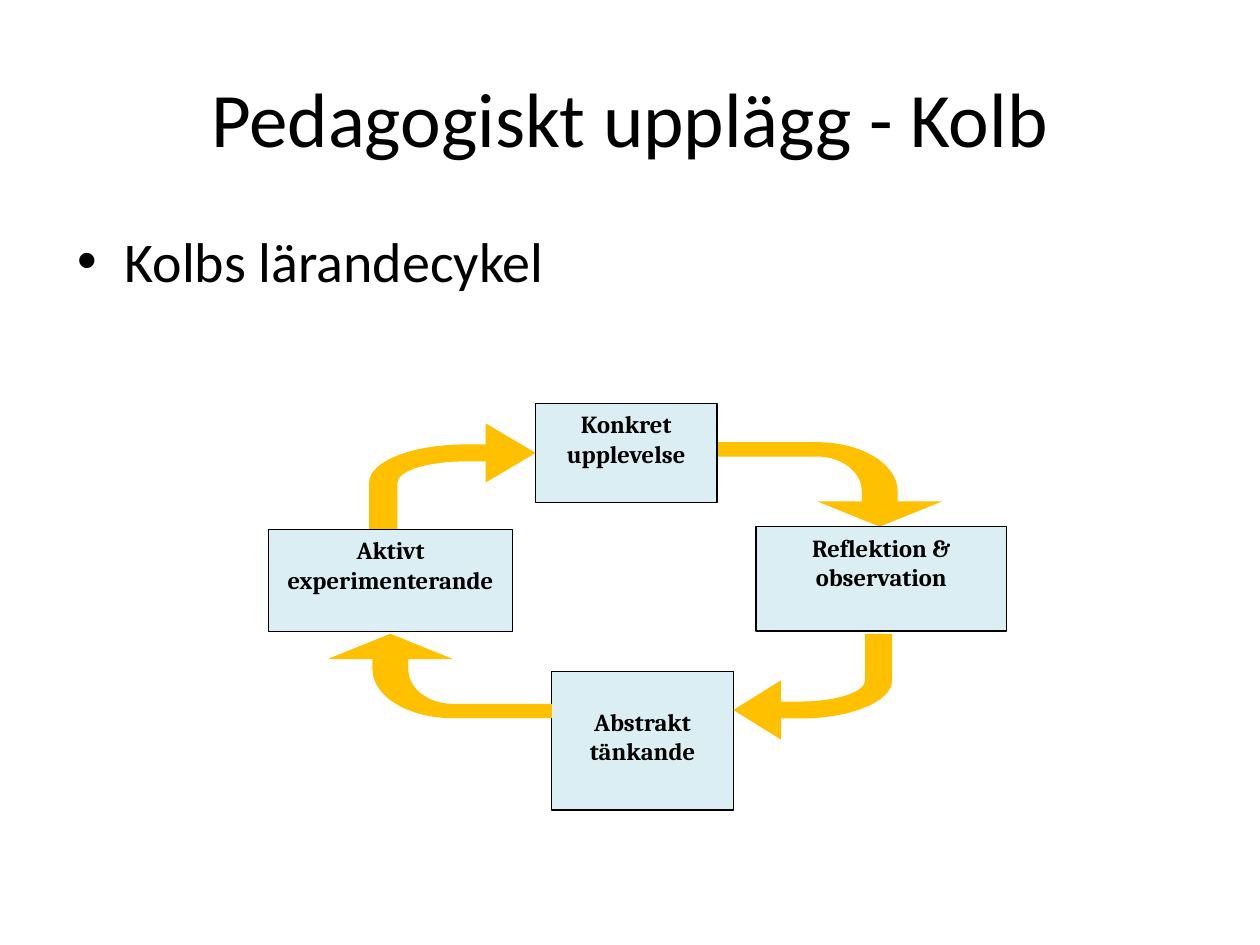
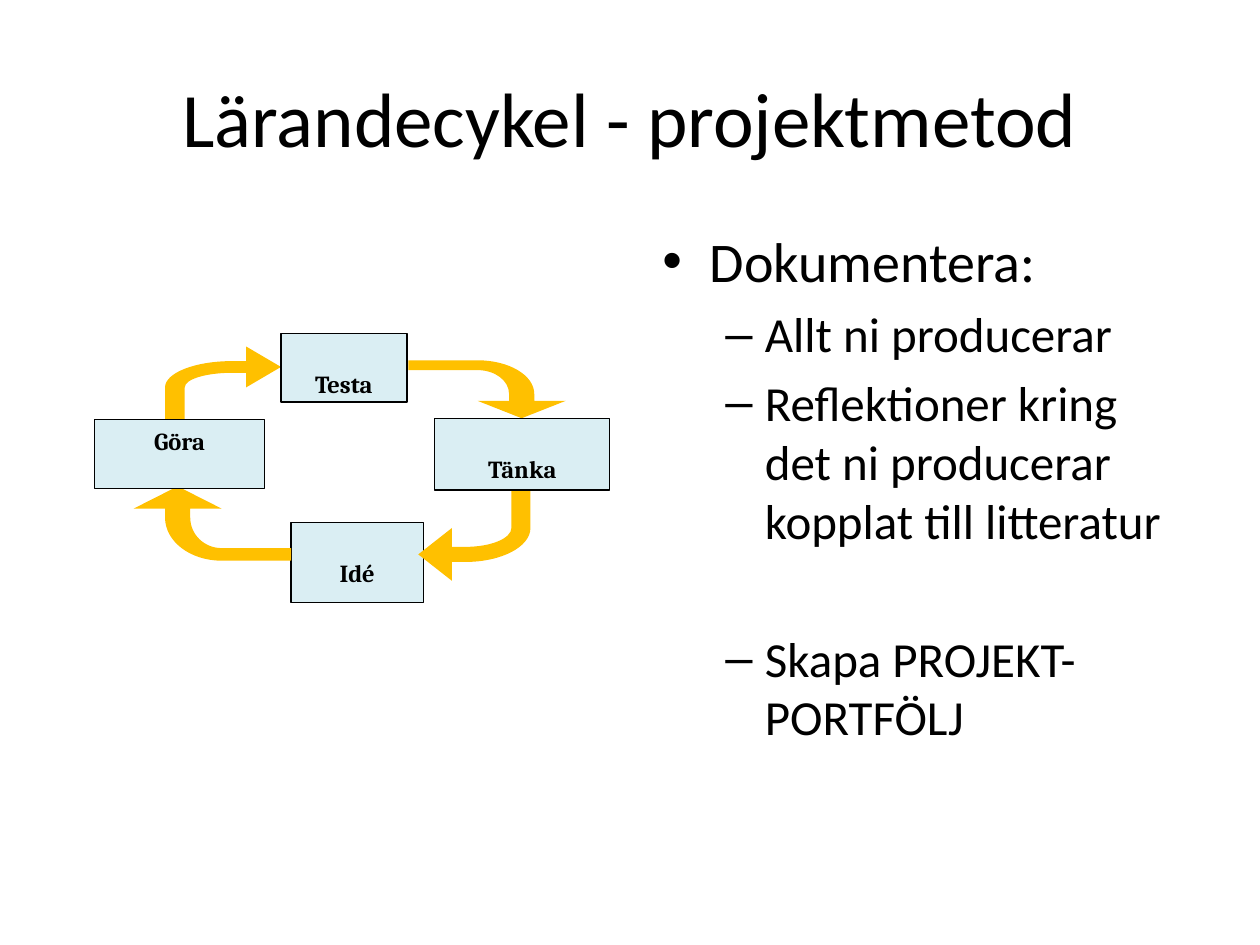
from dataclasses import dataclass

from lxml import etree
from pptx import Presentation
from pptx import util as u
from pptx.dml.color import RGBColor
from pptx.enum import shapes, text
from pptx.oxml import ns

COLS, ROWS = 100, 75
CELL = u.Inches(0.1)


@dataclass(frozen=True)
class Theme:
    ink: RGBColor = RGBColor(0, 0, 0)
    station: RGBColor = RGBColor(0xDA, 0xEE, 0xF3)
    arrow: RGBColor = RGBColor(0xFF, 0xC0, 0)
    font: str = "Calibri"
    station_font: str = "Cambria"
    title_size: int = 44
    body_sizes: tuple = (32, 28)
    station_size: int = 14
    outline: float = 0.75


THEME = Theme()
BULLETS = (("•", 3.75, -3.75), ("–", 8.13, -3.13))
TITLE_BOX = (5, 3, 90, 12.5)
LABEL_DROP = 2.3
ARROW_OUTLINE = (
    (1, 0.28), (0.7, 0), (0.7, 0.2), (0.58, 0.2),
    (0.26, 0.2), (0, 0.36), (0, 0.56),
    (0, 1), (0.17, 1), (0.17, 0.56),
    (0.17, 0.45), (0.35, 0.36), (0.58, 0.36),
    (0.7, 0.36), (0.7, 0.56),
)
ARROW_CURVES = (3, 9)


def cells(*values):
    return [round(v * CELL) for v in values]


def add_run(p, words, font, size, bold=False):
    r = p.add_run()
    r.text = words
    r.font.name, r.font.size, r.font.bold = font, u.Pt(size), bold
    r.font.color.rgb = THEME.ink


def add_text_frame(s, box):
    tf = s.shapes.add_textbox(*cells(*box)).text_frame
    tf.word_wrap = True
    return tf


def add_title(s, words):
    tf = add_text_frame(s, TITLE_BOX)
    tf.vertical_anchor = text.MSO_ANCHOR.MIDDLE
    p = tf.paragraphs[0]
    p.alignment = text.PP_ALIGN.CENTER
    add_run(p, words, THEME.font, THEME.title_size)


def add_bullets(s, box, items):
    tf = add_text_frame(s, box)
    for i, (level, words, extra_gap) in enumerate(items):
        p = tf.paragraphs[0] if i == 0 else tf.add_paragraph()
        p.level = level
        mark, margin, indent = BULLETS[level]
        size = THEME.body_sizes[level]
        pPr = p._p.get_or_add_pPr()
        pPr.set("marL", str(cells(margin)[0]))
        pPr.set("indent", str(cells(indent)[0]))
        etree.SubElement(pPr, ns.qn("a:buFont"), typeface="Arial")
        etree.SubElement(pPr, ns.qn("a:buChar"), char=mark)
        if i:
            p.space_before = u.Pt(size * 0.2 + extra_gap)
        add_run(p, words, THEME.font, size)


def paint(sp, color):
    sp.shadow.inherit = False
    sp.fill.solid()
    sp.fill.fore_color.rgb = color


def add_station(s, box, words, lowered):
    sp = s.shapes.add_shape(shapes.MSO_SHAPE.RECTANGLE, *cells(*box))
    paint(sp, THEME.station)
    sp.line.color.rgb = THEME.ink
    sp.line.width = u.Pt(THEME.outline)
    tf = sp.text_frame
    tf.word_wrap = True
    tf.vertical_anchor = text.MSO_ANCHOR.TOP
    tf.margin_top = cells(0.5 + LABEL_DROP * lowered)[0]
    tf.margin_bottom = 0
    p = tf.paragraphs[0]
    p.alignment = text.PP_ALIGN.CENTER
    add_run(p, words, THEME.station_font, THEME.station_size, True)


def round_corners(sp):
    lines = list(sp._element.iter(ns.qn("a:lnTo")))
    for start in ARROW_CURVES:
        trio = lines[start:start + 3]
        curve = etree.Element(ns.qn("a:cubicBezTo"))
        trio[0].addprevious(curve)
        for line in trio:
            curve.append(line[0])
            line.getparent().remove(line)


def add_bent_arrow(s, box, quarter_turns):
    x, y, w, h = box
    if quarter_turns % 2:
        x, y, w, h = x + (w - h) / 2, y + (h - w) / 2, h, w
    points = [cells(x + a * w, y + b * h) for a, b in ARROW_OUTLINE]
    builder = s.shapes.build_freeform(*points[0])
    builder.add_line_segments(points[1:], close=True)
    sp = builder.convert_to_shape()
    round_corners(sp)
    sp.rotation = 90 * quarter_turns
    paint(sp, THEME.arrow)
    sp.line.fill.background()


def add_cycle(s, origin, stations, arrow_sizes, shifts):
    left, top = origin
    placed = [((left + x, top + y, w, h), words, lowered)
              for (x, y, w, h), words, lowered in stations]
    north, east, south, west = [box for box, _, _ in placed]
    corners = (
        (north[0], west[1], -1, -1),
        (north[0] + north[2], east[1], 0, -1),
        (south[0] + south[2], east[1] + east[3], 0, 0),
        (south[0], west[1] + west[3], -1, 0),
    )
    add_station(s, *placed[2])
    for turns, (corner, (w, h), (dx, dy)) in enumerate(
            zip(corners, arrow_sizes, shifts)):
        x, y, back, up = corner
        add_bent_arrow(s, (x + back * w + dx, y + up * h + dy, w, h), turns)
    for station in (placed[1], placed[3], placed[0]):
        add_station(s, *station)


def build_kolb(s):
    add_title(s, "Pedagogiskt upplägg - Kolb")
    add_bullets(s, (5.15, 17.5, 90, 8.2), [(0, "Kolbs lärandecykel", 0)])
    add_cycle(
        s, (21.3, 32),
        (((21.2, 0, 14.4, 7.9), "Konkret upplevelse", False),
         ((38.7, 9.8, 19.9, 8.3), "Reflektion & observation", False),
         ((22.5, 21.3, 14.4, 11), "Abstrakt tänkande", True),
         ((0, 10, 19.4, 8.1), "Aktivt experimenterande", False)),
        ((13.2, 8.4), (17.8, 6.7), (12.6, 8.4), (17.8, 6.7)),
        ((0, 0), (0.1, 0), (0, 0.2), (0, 0.2)))


def build_project_method(s):
    add_title(s, "Lärandecykel - projektmetod")
    add_bullets(s, (51.6, 17.5, 43.4, 49.5), [
        (0, "Dokumentera:", 0),
        (1, "Allt ni producerar", 0),
        (1, "Reflektioner kring det ni producerar kopplat till litteratur", 0),
        (1, "Skapa PROJEKT-PORTFÖLJ", 39.6),
    ])
    add_cycle(
        s, (7.5, 26.5),
        (((14.8, 0, 10, 5.4), "Testa", True),
         ((27, 6.7, 13.9, 5.7), "Tänka", True),
         ((15.6, 15, 10.5, 6.3), "Idé", True),
         ((0, 6.8, 13.5, 5.5), "Göra", False)),
        ((9.2, 5.8), (12.5, 4.6), (8.9, 7.5), (12.5, 5.9)),
        ((0, 0), (0.1, 0), (-0.4, -0.3), (0, -0.2)))


def main():
    prs = Presentation()
    prs.slide_width, prs.slide_height = COLS * CELL, ROWS * CELL
    for build in (build_kolb, build_project_method):
        build(prs.slides.add_slide(prs.slide_layouts[6]))
    prs.save("out.pptx")


if __name__ == "__main__":
    main()
